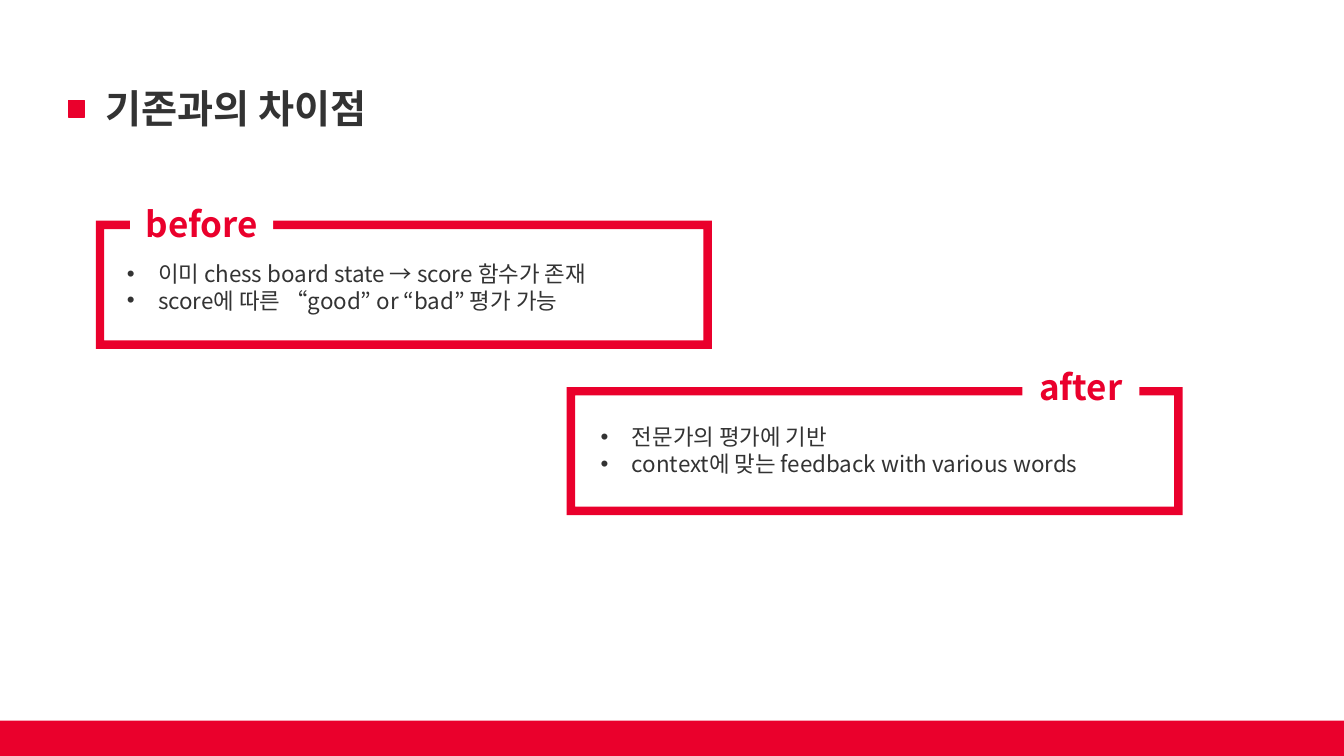
from lxml import etree
from pptx import Presentation
from pptx.dml.color import RGBColor
from pptx.enum.shapes import MSO_SHAPE
from pptx.enum.text import MSO_ANCHOR, PP_ALIGN
from pptx.oxml.ns import qn
from pptx.util import Inches, Pt

RECT, FRAME = MSO_SHAPE.RECTANGLE, MSO_SHAPE.FRAME
MIDDLE, TOP = MSO_ANCHOR.MIDDLE, MSO_ANCHOR.TOP
CENTER, LEFT = PP_ALIGN.CENTER, PP_ALIGN.LEFT

RED = RGBColor(0xEA, 0x00, 0x2C)
DARK = RGBColor(0x33, 0x33, 0x33)
WHITE = RGBColor(0xFF, 0xFF, 0xFF)
FONT = "Noto Sans CJK KR"

# Content
TITLE = "기존과의 차이점"
PANELS = [
    {
        "label": "before",
        "points": ["이미 chess board state → score 함수가 존재",
                   "score에 따른 “good” or “bad” 평가 가능"],
        "corner": (0.95, 2.19),
        "label_box": (0.34, -0.33, 1.42),  # offset from corner, width
        "points_box": (0.21, 0.34, 4.88),
    },
    {
        "label": "after",
        "points": ["전문가의 평가에 기반",
                   "context에 맞는 feedback with various words"],
        "corner": (5.62, 3.84),
        "label_box": (4.52, -0.36, 1.16),
        "points_box": (0.24, 0.31, 5.26),
    },
]

# Layout in inches
SLIDE_W, SLIDE_H = 13.33, 7.5
FOOTER_H = 0.35
PANEL_W, PANEL_H = 6.11, 1.27
FRAME_SHARE = 0.066
LABEL_H, POINTS_H = 0.71, 0.64
INDENT = Inches(0.31)

prs = Presentation()
prs.slide_width, prs.slide_height = Inches(SLIDE_W), Inches(SLIDE_H)
slide = prs.slides.add_slide(prs.slide_layouts[6])


def add_block(kind, left, top, width, height, color):
    block = slide.shapes.add_shape(
        kind, Inches(left), Inches(top), Inches(width), Inches(height))
    block.shadow.inherit = False
    block.fill.solid()
    block.fill.fore_color.rgb = color
    block.line.fill.background()
    return block


def add_text(left, top, width, height):
    return slide.shapes.add_textbox(
        Inches(left), Inches(top), Inches(width), Inches(height)).text_frame


def write(frame, lines, size, color, bold=False, align=LEFT, anchor=TOP,
          wrap=True, bullets=False):
    frame.text = "\n".join(lines)
    frame.word_wrap = wrap
    frame.vertical_anchor = anchor
    for paragraph in frame.paragraphs:
        paragraph.alignment = align
        if bullets:
            props = paragraph._p.get_or_add_pPr()
            props.set("marL", str(INDENT))
            props.set("indent", str(-INDENT))
            etree.SubElement(props, qn("a:buFont")).set("typeface", "Arial")
            etree.SubElement(props, qn("a:buChar")).set("char", "•")
        for run in paragraph.runs:
            run.font.name = FONT
            run.font.size = Pt(size)
            run.font.bold = bold
            run.font.color.rgb = color
            east_asian = etree.SubElement(run.font._element, qn("a:ea"))
            east_asian.set("typeface", FONT)


# Title with square marker
marker = add_block(RECT, 0.68, 1, 0.16, 0.16, RED)
marker.line.color.rgb = RED
marker.line.width = Pt(1)
write(add_text(0.95, 0.79, 2.9, 0.57), [TITLE], 28, DARK, bold=True, wrap=False)

# Footer band
add_block(RECT, 0, SLIDE_H - FOOTER_H, SLIDE_W, FOOTER_H, RED)

# Framed panels, each with a label that interrupts the top edge
for panel in PANELS:
    x, y = panel["corner"]
    outline = add_block(FRAME, x, y, PANEL_W, PANEL_H, RED)
    outline.adjustments[0] = FRAME_SHARE

    dx, dy, width = panel["label_box"]
    label = add_block(RECT, x + dx, y + dy, width, LABEL_H, WHITE)
    write(label.text_frame, [panel["label"]], 25, RED, bold=True,
          align=CENTER, anchor=MIDDLE)

    dx, dy, width = panel["points_box"]
    write(add_text(x + dx, y + dy, width, POINTS_H), panel["points"], 16, DARK,
          bullets=True)

prs.save("out.pptx")
